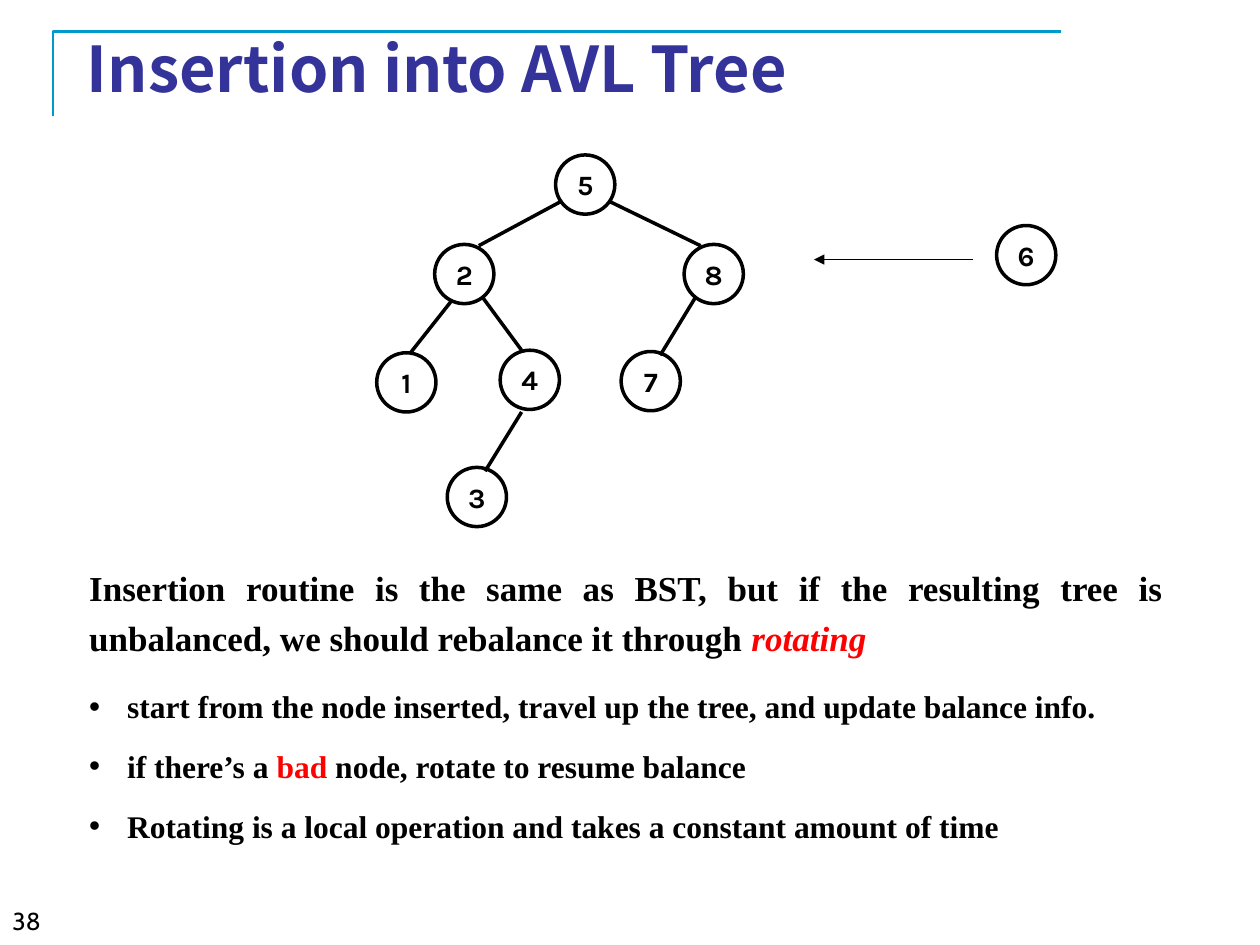
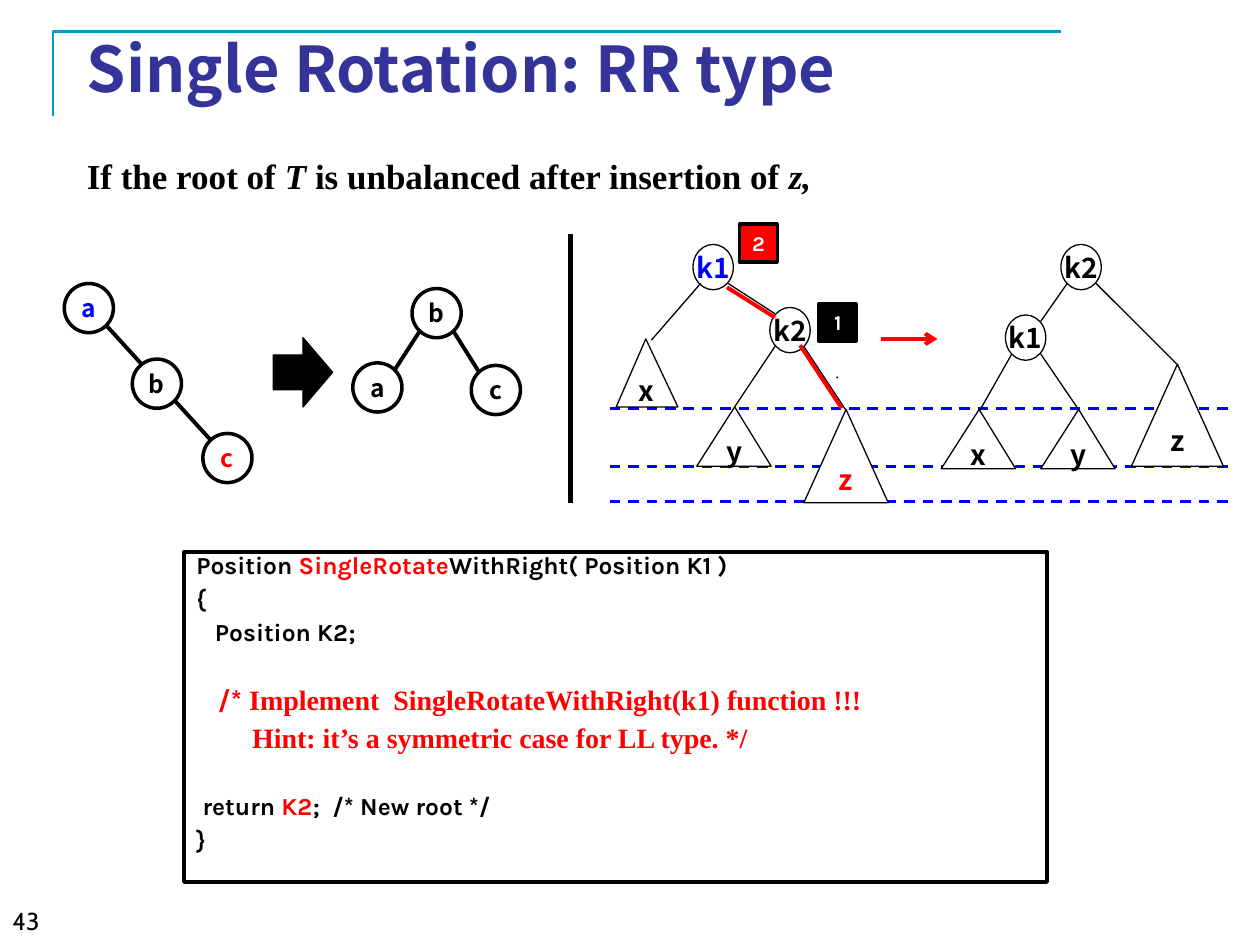
from dataclasses import dataclass
from typing import Any

from lxml import etree
from pptx import Presentation
from pptx.dml.color import RGBColor
from pptx.enum.dml import MSO_LINE
from pptx.enum.shapes import MSO_CONNECTOR, MSO_SHAPE as Shape
from pptx.enum.text import MSO_ANCHOR as Anchor, MSO_AUTO_SIZE, PP_ALIGN as Align
from pptx.oxml.ns import qn
from pptx.util import Inches, Pt

COLORS = {
    "black": "000000", "white": "FFFFFF", "red": "FF0000", "blue": "0000FF",
    "title": "333399", "frame": "0099CC",
}
SANS, SERIF, CODE, NUMBER = "Noto Sans CJK KR", "Times New Roman", "Karla", "Cabin"
TITLE_ONLY = 5


def rgb(color):
    return RGBColor.from_string(COLORS[color])


def style(font, name, size, color="black", bold=True):
    font.name, font.size, font.bold = name, Pt(size), bold
    font.color.rgb = rgb(color)


def add_runs(paragraph, runs):
    """Each run is its text, then optionally a colour, italics and a font."""
    for text, *(changes) in runs:
        color, italic, name = (changes + [None] * 3)[:3]
        run = paragraph.add_run()
        run.text = text
        if color:
            run.font.color.rgb = rgb(color)
        if italic:
            run.font.italic = True
        if name:
            run.font.name = name


def add_bullet(paragraph, indent):
    props = paragraph._p.get_or_add_pPr()
    props.set("marL", str(Inches(indent)))
    props.set("indent", str(-Inches(indent)))
    etree.SubElement(props, qn("a:buFont")).set("typeface", "Arial")
    etree.SubElement(props, qn("a:buChar")).set("char", "•")


@dataclass
class Region:
    """A part of a slide; everything is placed relative to its corner."""
    slide: Any
    left: float
    top: float

    def place(self, x, y):
        return Inches(self.left + x), Inches(self.top + y)

    def shape(self, kind, x, y, width, height, fill="white", weight=2):
        shape = self.slide.shapes.add_shape(
            kind, *self.place(x, y), Inches(width), Inches(height))
        shape.shadow.inherit = False
        shape.fill.solid()
        shape.fill.fore_color.rgb = rgb(fill)
        shape.line.color.rgb = rgb("black")
        shape.line.width = Pt(weight)
        return shape

    def label(self, text, kind, x, y, width, height, font=SANS, size=16,
              color="black", fill="white", weight=2):
        shape = self.shape(kind, x, y, width, height, fill, weight)
        frame = shape.text_frame
        frame.word_wrap = False
        frame.vertical_anchor = Anchor.MIDDLE
        paragraph = frame.paragraphs[0]
        paragraph.alignment = Align.CENTER
        paragraph.text = text
        style(paragraph.font, font, size, color)
        return shape

    def line(self, x1, y1, x2, y2, color="black", weight=0.75, dashed=False, head=None):
        line = self.slide.shapes.add_connector(
            MSO_CONNECTOR.STRAIGHT, *self.place(x1, y1), *self.place(x2, y2))
        line.line.color.rgb = rgb(color)
        line.line.width = Pt(weight)
        if dashed:
            line.line.dash_style = MSO_LINE.DASH
        if head:
            etree.SubElement(line.line._get_or_add_ln(), qn("a:tailEnd")).set("type", head)
        etree.SubElement(line._element.spPr, qn("a:effectLst"))

    def text(self, width, height):
        box = self.slide.shapes.add_textbox(
            *self.place(0, 0), Inches(width), Inches(height))
        box.text_frame.word_wrap = True
        return box.text_frame


def add_slide(prs, title, number):
    """Slide with the corner frame, title and page number."""
    slide = prs.slides.add_slide(prs.slide_layouts[TITLE_ONLY])
    outline = slide.shapes.build_freeform(Inches(0.42), Inches(0.92))
    outline.add_line_segments(
        [(Inches(0.42), Inches(0.25)), (Inches(8.42), Inches(0.25))], close=False)
    corner = outline.convert_to_shape()
    corner.shadow.inherit = False
    corner.fill.background()
    corner.line.color.rgb = rgb("frame")
    corner.line.width = Pt(1.5)

    heading = slide.shapes.title
    heading.left, heading.top = Inches(0.59), Inches(0.3)
    heading.width, heading.height = Inches(8.5), Inches(0.47)
    frame = heading.text_frame
    frame.auto_size = MSO_AUTO_SIZE.NONE
    frame.vertical_anchor = Anchor.MIDDLE
    frame.text = title
    frame.paragraphs[0].alignment = Align.JUSTIFY
    style(frame.paragraphs[0].font, SANS, 36, "title")

    page = Region(slide, 0, 7.14).text(3.12, 0.36).paragraphs[0]
    page.text = str(number)
    style(page.font, NUMBER, 14, bold=False)
    return slide


def add_avl_tree(region):
    size = 0.47
    nodes = {"5": (1.42, 0), "2": (0.46, 0.71), "8": (2.44, 0.71), "1": (0, 1.57),
             "4": (0.98, 1.55), "7": (1.94, 1.56), "3": (0.56, 2.48), "6": (4.92, 0.56)}
    for key, (x, y) in nodes.items():
        region.label(key, Shape.OVAL, x, y, size, size, font=CODE)
    edges = [(1.46, 0.37, 0.81, 0.72), (1.85, 0.37, 2.57, 0.72),
             (0.6, 1.15, 0.26, 1.58), (0.84, 1.13, 1.15, 1.55),
             (2.53, 1.13, 2.25, 1.59), (1.15, 2.04, 0.86, 2.51)]
    for edge in edges:
        region.line(*edge, weight=2)
    # The key being inserted
    region.line(4.73, 0.83, 3.47, 0.83, head="triangle")


def add_insertion_notes(region):
    frame = region.text(8.72, 2.39)
    frame.margin_top = Inches(0.08)
    intro = frame.paragraphs[0]
    intro.alignment, intro.line_spacing = Align.JUSTIFY, 1.2
    style(intro.font, SERIF, 20)
    add_runs(intro, [
        ("Insertion routine is the same as BST, but if the resulting tree is "
         "unbalanced, we should rebalance it through ",), ("rotating", "red", True)])
    steps = [
        [("start from the node inserted, travel up the tree, and update balance info.",)],
        [("if there’s a ",), ("bad", "red"), (" node, rotate to resume balance",)],
        [("Rotating is a local operation and takes a constant amount of time",)],
    ]
    for index, runs in enumerate(steps):
        step = frame.add_paragraph()
        step.alignment, step.line_spacing = Align.JUSTIFY, 1.1
        step.space_before = Pt(10.5 if index else 14)
        add_bullet(step, 0.3)
        style(step.font, SERIF, 18)
        add_runs(step, runs)


def add_condition(region):
    frame = region.text(7.78, 0.44)
    frame.margin_top = Inches(0.08)
    condition = frame.paragraphs[0]
    condition.alignment = Align.JUSTIFY
    style(condition.font, SERIF, 20)
    add_runs(condition, [("If the root of ",), ("T ", None, True),
                         ("is unbalanced after insertion of ",), ("z,", None, True)])


def add_example(region):
    """Three nodes before and after the rotation."""
    size = 0.39
    region.line(0.34, 0.34, 1.16, 1.24, weight=2.25)
    for key, x, y, color in [
            ("a", 0, 0, "blue"), ("b", 0.54, 0.6, "black"), ("c", 1.1, 1.19, "red"),
            ("b", 2.76, 0.04, "black"), ("a", 2.29, 0.63, "black"),
            ("c", 3.23, 0.65, "black")]:
        region.label(key, Shape.OVAL, x, y, size, size, size=14, color=color)
    region.line(2.82, 0.38, 2.62, 0.69, weight=2.25)
    region.line(3.09, 0.38, 3.29, 0.7, weight=2.25)
    region.shape(Shape.RIGHT_ARROW, 1.66, 0.43, 0.47, 0.55, "black", 0.75)


def add_general_case(region):
    """Subtrees before and after the rotation, over dashed depth levels."""
    for level in (2.2, 1.92, 1.46):
        region.line(0, level, 4.96, level, "blue", 1.5, dashed=True)
    for key, x, y, color in [
            ("k1", 0.66, 0.16, "blue"), ("k2", 1.27, 0.66, "black"),
            ("k1", 3.14, 0.72, "black"), ("k2", 3.58, 0.16, "black")]:
        region.label(key, Shape.OVAL, x, y, 0.32, 0.36, color=color, weight=0.75)
    for key, x, y, width, height, apex, color in [
            ("z", 1.54, 1.47, 0.67, 0.74, 0.5, "red"),
            ("y", 0.69, 1.45, 0.59, 0.47, 0.51, "black"),
            ("x", 0.05, 0.91, 0.49, 0.54, 0.48, "black"),
            ("z", 4.14, 1.11, 0.73, 0.81, 0.5, "black"),
            ("x", 2.63, 1.47, 0.59, 0.47, 0.51, "black"),
            ("y", 3.42, 1.47, 0.59, 0.47, 0.51, "black")]:
        subtree = region.label(key, Shape.ISOSCELES_TRIANGLE, x, y, width, height,
                               color=color, weight=0.75)
        subtree.adjustments[0] = apex
    edges = [(0.72, 0.47, 0.33, 0.92), (1.31, 0.71, 0.94, 0.47),
             (0.99, 1.45, 1.31, 0.97), (1.87, 1.47, 1.54, 0.97),
             (1.8, 1.21, 1.81, 1.22), (3.63, 0.47, 3.42, 0.77),
             (2.94, 1.47, 3.19, 1.03), (3.72, 1.47, 3.42, 1.03),
             (4.5, 1.11, 3.86, 0.47)]
    for edge in edges:
        region.line(*edge)
    # Path to the inserted node, and the rotation arrow
    region.line(1.31, 0.74, 0.93, 0.5, "red", 2.25)
    region.line(1.84, 1.46, 1.51, 0.96, "red", 2.25)
    region.line(2.15, 0.91, 2.6, 0.91, "red", 2.25, head="arrow")
    # Balance factors
    for factor, x, y, fill in [("1", 1.66, 0.63, "black"), ("2", 1.03, 0, "red")]:
        region.label(factor, Shape.RECTANGLE, x, y, 0.3, 0.3, CODE, 12, "white", fill)


def add_code(region):
    frame = region.shape(Shape.RECTANGLE, 0, 0, 6.85, 2.62).text_frame
    frame.word_wrap = True
    frame.vertical_anchor = Anchor.TOP
    near, hint_gap, far = 7.4, 8.8, 26
    # Space before, size, runs
    lines = [
        (0, 14, [("Position ",), ("SingleRotate", "red"), ("WithRight( Position K1 )",)]),
        (near, 14, [("{",)]),
        (near, 14, [("   Position K2;",)]),
        (far, 16, [("   /* ", "red"),
                   ("Implement  SingleRotateWithRight(k1) function !!!",
                    "red", False, SERIF)]),
        (hint_gap, 16, [("        Hint: it’s a symmetric case for LL type. */",
                         "red", False, SERIF)]),
        (far, 14, [(" return ",), ("K2", "red"), (";  /* New root */",)]),
        (near, 14, [("}",)]),
    ]
    for index, (gap, size, runs) in enumerate(lines):
        line = frame.add_paragraph() if index else frame.paragraphs[0]
        line.alignment, line.line_spacing = Align.JUSTIFY, 0.7
        line.space_before = Pt(gap)
        style(line.font, CODE, size)
        add_runs(line, runs)


def main():
    prs = Presentation()
    prs.slide_width, prs.slide_height = Inches(10), Inches(7.5)

    insertion = add_slide(prs, "Insertion into AVL Tree", 38)
    add_insertion_notes(Region(insertion, 0.61, 4.35))
    add_avl_tree(Region(insertion, 2.99, 1.23))

    rotation = add_slide(prs, "Single Rotation: RR type", 43)
    add_condition(Region(rotation, 0.59, 1.15))
    add_general_case(Region(rotation, 4.84, 1.78))
    add_code(Region(rotation, 1.46, 4.38))
    add_example(Region(rotation, 0.51, 2.25))
    Region(rotation, 4.53, 1.86).line(0, 0, 0, 2.13, weight=3)

    prs.save("out.pptx")


if __name__ == "__main__":
    main()
